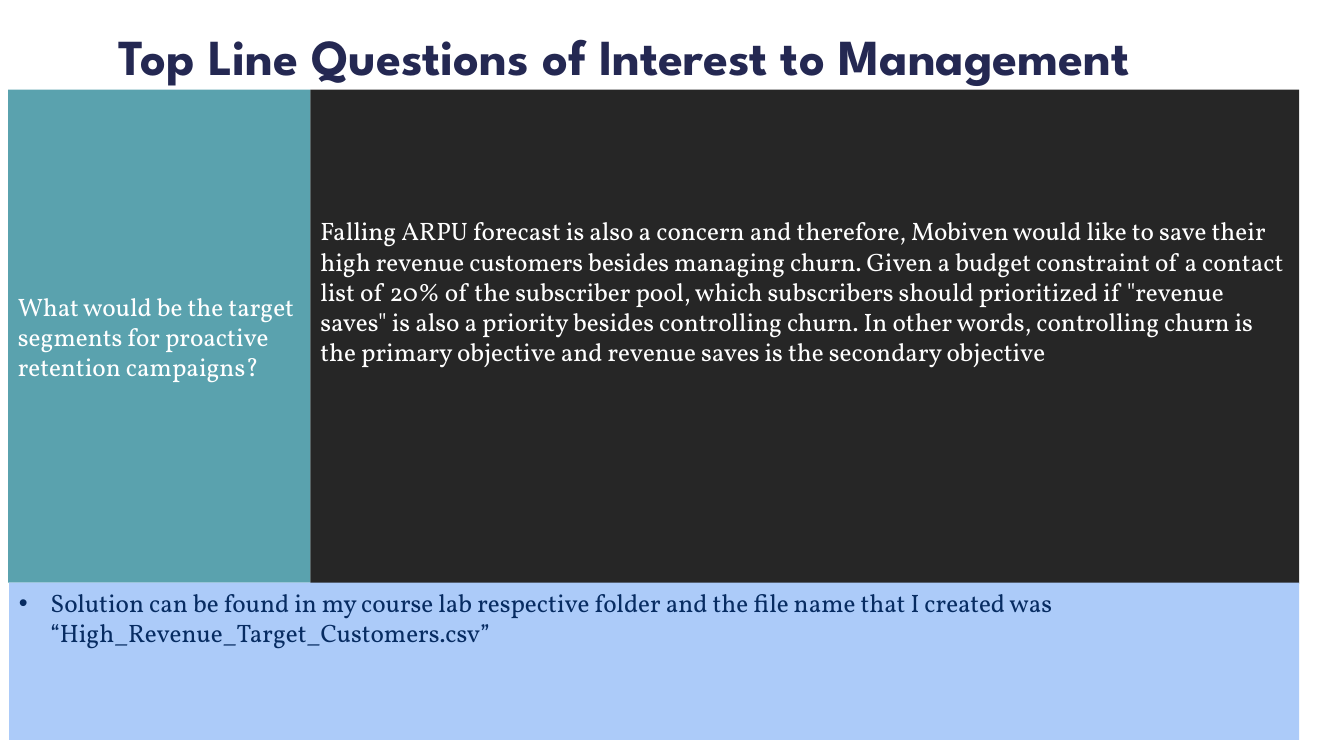
"""Build the slide on management's top line questions."""
from dataclasses import dataclass

from lxml.etree import SubElement
from pptx import Presentation
from pptx.dml.color import RGBColor
from pptx.enum.shapes import MSO_SHAPE as Preset
from pptx.enum.text import MSO_ANCHOR as Anchor, PP_ALIGN as Align
from pptx.oxml.ns import qn
from pptx.util import Pt

COLORS = {
    "white": "FFFFFF",
    "navy": "242852",
    "teal": "5AA2AE",
    "black": "000000",
    "sky": "ACCBF9",
    "ink": "072C62",
}
LEFT, TOP, SPLIT, RIGHT = 5.76, 64.08, 221.76, 928.08
SOLUTION_TOP = 416.16


@dataclass
class Block:
    left: float
    top: float
    width: float
    height: float
    text: str
    color: str
    fill: str = ""
    opacity: int = 100
    font: str = "Vollkorn"
    size: float = 18
    bold: bool = False
    anchor: Anchor = Anchor.TOP
    inset_top: float = 3.6
    line_spacing: float = 1.0
    bullet_indent: float = 0


BLOCKS = [
    Block(77.76, 10.08, 828, 54, "Top Line Questions of Interest to Management",
          "navy", font="League Spartan", size=36, bold=True,
          anchor=Anchor.BOTTOM, line_spacing=0.8),
    Block(LEFT, TOP, SPLIT - LEFT, SOLUTION_TOP - TOP,
          "What would be the target segments for proactive retention campaigns?",
          "white", "teal", anchor=Anchor.MIDDLE),
    Block(SPLIT, TOP, RIGHT - SPLIT, 352.8,
          "Falling ARPU forecast is also a concern and therefore, Mobiven would "
          "like to save their high revenue customers besides managing churn. "
          "Given a budget constraint of a contact list of 20% of the subscriber "
          "pool, which subscribers should prioritized if \"revenue saves\" is "
          "also a priority besides controlling churn. In other words, "
          "controlling churn is the primary objective and revenue saves is the "
          "secondary objective",
          "white", "black", opacity=85, inset_top=90),
    Block(6.48, SOLUTION_TOP, RIGHT - 6.48, 112.32,
          "Solution can be found in my course lab respective folder and the "
          "file name that I created was “High_Revenue_Target_Customers.csv”",
          "ink", "sky", bullet_indent=22.5),
]


def rgb(name: str) -> RGBColor:
    return RGBColor.from_string(COLORS[name])


def add_bullet(para, indent: float) -> None:
    properties = para._p.get_or_add_pPr()
    properties.set("marL", str(Pt(indent)))
    properties.set("indent", str(-Pt(indent)))
    SubElement(properties, qn("a:buFont")).set("typeface", "Arial")
    SubElement(properties, qn("a:buChar")).set("char", "•")


def paint(box, block: Block) -> None:
    box.shadow.inherit = False
    box.fill.solid()
    box.fill.fore_color.rgb = rgb(block.fill)
    box.line.fill.background()
    if block.opacity < 100:
        color = box.fill._xPr.find(".//" + qn("a:srgbClr"))
        SubElement(color, qn("a:alpha")).set("val", str(block.opacity * 1000))


def add_block(page, block: Block) -> None:
    place = [Pt(length) for length in (block.left, block.top, block.width, block.height)]
    if block.fill:
        box = page.shapes.add_shape(Preset.RECTANGLE, *place)
        paint(box, block)
    else:
        box = page.shapes.add_textbox(*place)
    frame = box.text_frame
    frame.word_wrap = True
    frame.vertical_anchor = block.anchor
    frame.margin_top = Pt(block.inset_top)
    para = frame.paragraphs[0]
    para.alignment = Align.LEFT
    para.line_spacing = block.line_spacing
    if block.bullet_indent:
        add_bullet(para, block.bullet_indent)
    span = para.add_run()
    span.text = block.text
    span.font.name = block.font
    span.font.size = Pt(block.size)
    span.font.bold = block.bold
    span.font.color.rgb = rgb(block.color)


def main() -> None:
    deck = Presentation()
    deck.slide_width, deck.slide_height = Pt(960), Pt(540)
    page = deck.slides.add_slide(deck.slide_layouts[6])
    page.background.fill.solid()
    page.background.fill.fore_color.rgb = rgb("white")
    for block in BLOCKS:
        add_block(page, block)
    deck.save("out.pptx")


if __name__ == "__main__":
    main()
